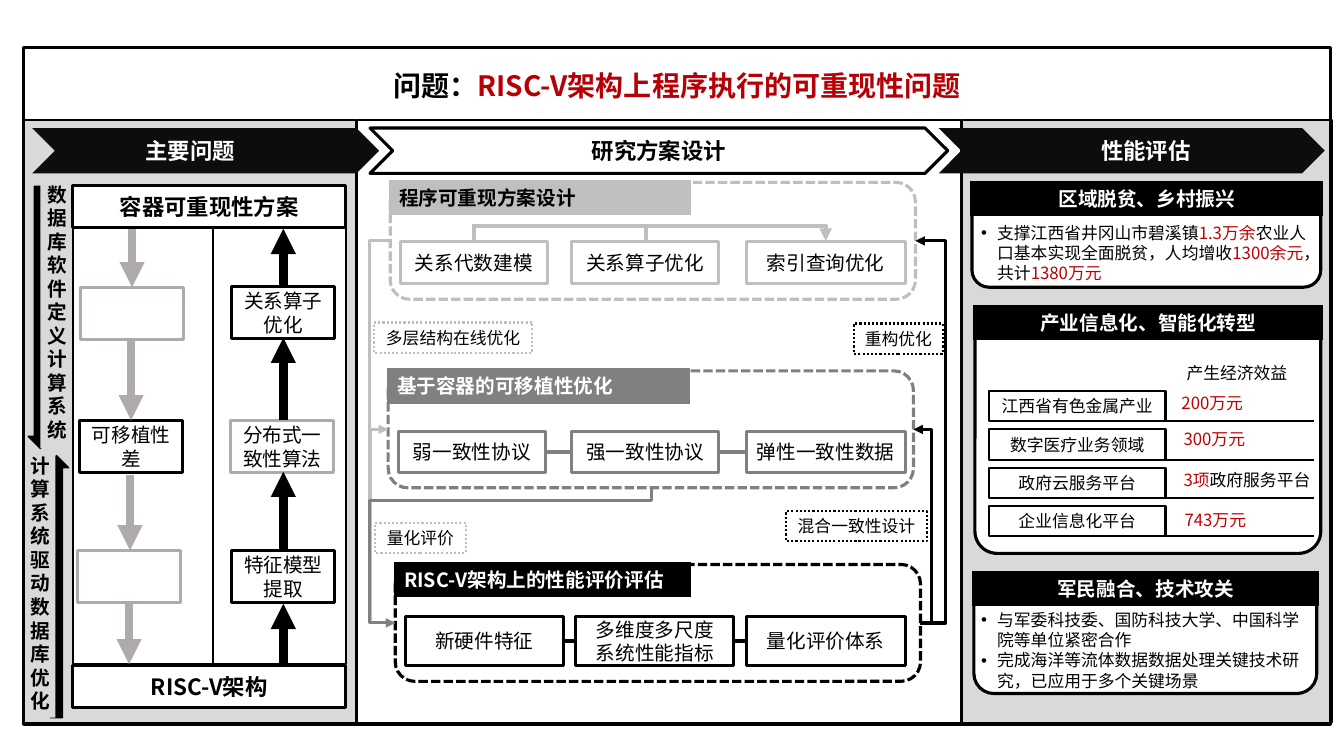
from lxml import etree
from pptx import Presentation
from pptx.dml.color import RGBColor
from pptx.enum.dml import MSO_LINE as DASH
from pptx.enum.shapes import MSO_CONNECTOR as LINK, MSO_SHAPE as SHAPE
from pptx.enum.text import MSO_ANCHOR as ANCHOR, MSO_AUTO_SIZE as FIT, PP_ALIGN as ALIGN
from pptx.oxml.ns import qn
from pptx.util import Inches, Pt

FONT = "Noto Sans CJK SC"
BLACK = RGBColor(0x00, 0x00, 0x00)
WHITE = RGBColor(0xFF, 0xFF, 0xFF)
INK = RGBColor(0x0D, 0x0D, 0x0D)
PANEL = RGBColor(0xD9, 0xD9, 0xD9)
LIGHT = RGBColor(0xBF, 0xBF, 0xBF)
MUTED = RGBColor(0xAF, 0xAB, 0xAB)
GRAY = RGBColor(0x80, 0x80, 0x80)
TITLE_RED = RGBColor(0xB6, 0x00, 0x05)
RED = RGBColor(0xC0, 0x00, 0x00)


def write(box, paragraphs, size=14, bold=False, align=ALIGN.CENTER, anchor=ANCHOR.MIDDLE):
    """Fill a box with paragraphs, each a list of (words, colour) spans."""
    frame = box.text_frame
    frame.word_wrap = True
    frame.auto_size = FIT.NONE
    frame.vertical_anchor = anchor
    frame.margin_left = frame.margin_right = Inches(0.1)
    frame.margin_top = frame.margin_bottom = Inches(0.05)
    for number, spans in enumerate(paragraphs):
        para = frame.add_paragraph() if number else frame.paragraphs[0]
        para.alignment = align
        para.space_before = Pt(0)
        for words, colour in spans:
            span = para.add_run()
            span.text = words
            span.font.size, span.font.bold, span.font.name = Pt(size), bold, FONT
            span.font.color.rgb = colour
            etree.SubElement(span.font._element, qn("a:ea"), typeface=FONT)


def add_block(page, place, words="", fill=None, edge=None, weight=2.25, dash=None,
              preset=SHAPE.RECTANGLE, colour=BLACK, **style):
    box = page.shapes.add_shape(preset, *map(Inches, place))
    box.shadow.inherit = False
    if fill is None:
        box.fill.background()
    else:
        box.fill.solid()
        box.fill.fore_color.rgb = fill
    if edge is None:
        box.line.fill.background()
    else:
        box.line.color.rgb = edge
        box.line.width = Pt(weight)
        box.line.dash_style = dash
    if words:
        write(box, [[(line, colour)] for line in words.split("\n")], **style)
    return box


def add_label(page, place, spans, **style):
    box = page.shapes.add_textbox(*map(Inches, place))
    write(box, [spans], **style)
    return box


def add_link(page, start, end, colour=BLACK, weight=2.25, arrow=None, elbow=None, bends=()):
    """Draw a line; arrow is "headEnd" (at start) or "tailEnd" (at end)."""
    kind = LINK.ELBOW if elbow else LINK.STRAIGHT
    link = page.shapes.add_connector(kind, *map(Inches, (*start, *end)))
    link.line.color.rgb = colour
    link.line.width = Pt(weight)
    properties = link._element.spPr
    if arrow:
        etree.SubElement(properties.find(qn("a:ln")), qn(f"a:{arrow}"), type="triangle")
    etree.SubElement(properties, qn("a:effectLst"))
    if elbow:
        geometry = properties.find(qn("a:prstGeom"))
        geometry.set("prst", elbow)
        values = geometry.find(qn("a:avLst"))
        for number, share in enumerate(bends, 1):
            name = "adj" if len(bends) == 1 and elbow == "bentConnector2" else f"adj{number}"
            etree.SubElement(values, qn("a:gd"), name=name, fmla=f"val {round(share * 100000)}")


def fill_list(box, place, paragraphs):
    """Turn a body placeholder into a bulleted list on top of its card."""
    box.left, box.top, box.width, box.height = map(Inches, place)
    write(box, paragraphs, size=12, align=ALIGN.LEFT, anchor=ANCHOR.TOP)
    for para in box.text_frame.paragraphs:
        settings = para._p.get_or_add_pPr()
        settings.set("marL", str(Inches(0.31)))
        settings.set("indent", str(Inches(-0.16)))
        etree.SubElement(settings, qn("a:buChar"), char="•")
    box._element.getparent().append(box._element)


def add_card(page, left, top, width, height, heading):
    card = add_block(page, (left, top, width, height), fill=WHITE, edge=BLACK,
                     preset=SHAPE.ROUNDED_RECTANGLE)
    add_block(page, (left - 0.01, top - 0.02, width + 0.03, 0.34), heading, fill=BLACK,
              edge=BLACK, weight=0.75, colour=WHITE, bold=True)
    return card


def add_stage(page, left, top, heading, heading_width, tone, heading_colour):
    add_block(page, (left, top, 5.21, 1.16), fill=WHITE, edge=tone, dash=DASH.SQUARE_DOT,
              preset=SHAPE.ROUNDED_RECTANGLE).line._ln.find(qn("a:prstDash")).set("val", "sysDash")
    add_block(page, (left - 0.01, top - 0.02, heading_width, 0.34), heading, fill=tone, edge=tone,
              weight=0.75, colour=heading_colour, bold=True, align=ALIGN.LEFT)


def build_problems(page):
    add_block(page, (0.24, 1.19, 3.29, 5.98), fill=PANEL, edge=BLACK, weight=1)
    add_block(page, (0.72, 2.25, 2.71, 4.34), fill=WHITE, edge=BLACK, weight=1.5)
    add_link(page, (2.11, 2.23), (2.11, 6.6), weight=1.5)
    for left, top, words, tone in ((0.8, 2.85, "", MUTED), (0.79, 4.17, "可移植性差", BLACK),
                                   (0.77, 5.46, "", MUTED), (2.3, 2.84, "关系算子\n优化", BLACK),
                                   (2.29, 4.17, "分布式一致性算法", MUTED),
                                   (2.3, 5.46, "特征模型提取", BLACK)):
        add_block(page, (left, top, 1.02, 0.52), words, edge=tone)
    # Gray flow down, black flow up
    for x, top, bottom in ((1.31, 2.27, 2.85), (1.3, 3.36, 4.17), (1.29, 4.71, 5.46), (1.28, 5.99, 6.59)):
        add_link(page, (x, top), (x, bottom), MUTED, 6, "tailEnd")
    for bottom, top in ((2.84, 2.27), (4.17, 3.35), (5.46, 4.68), (6.6, 5.99)):
        add_link(page, (2.81, bottom), (2.81, top), BLACK, 6, "tailEnd")
    for top, words in ((1.84, "容器可重现性方案"), (6.6, "RISC-V架构")):
        add_block(page, (0.72, top, 2.71, 0.42), words, fill=WHITE, edge=BLACK, size=16, bold=True)
    # Side captions with half arrows
    for arrow, left, top, cover, words, place in (
            (SHAPE.DOWN_ARROW, 0.28, 1.85, 0.4, "数据库软件定义计算系统", (0.37, 1.75, 0.4, 2.69)),
            (SHAPE.UP_ARROW, 0.44, 4.52, 0.38, "计算系统驱动数据库优化", (0.2, 4.44, 0.4, 2.69))):
        add_block(page, (left, top, 0.24, 2.6), fill=BLACK, edge=BLACK, weight=1, preset=arrow)
        add_block(page, (cover, top - 0.03, 0.17, 2.63), fill=PANEL)
        add_label(page, place, [(words, BLACK)], bold=True)


def build_design(page):
    add_block(page, (3.54, 1.19, 5.99, 5.98), fill=WHITE, edge=BLACK, weight=1)
    add_stage(page, 3.87, 1.81, "程序可重现方案设计", 2.99, LIGHT, BLACK)
    add_stage(page, 3.85, 3.68, "基于容器的可移植性优化", 3, GRAY, WHITE)
    add_stage(page, 3.92, 5.6, "RISC-V架构上的性能评价评估", 2.94, BLACK, WHITE)
    # Steps of each stage
    for top, height, tone, lefts, width, steps in (
            (2.4, 0.41, LIGHT, (3.97, 5.67), 1.46, ("关系代数建模", "关系算子优化", "索引查询优化")),
            (4.28, 0.41, GRAY, (3.95, 5.67), 1.46, ("弱一致性协议", "强一致性协议", "弹性一致性数据")),
            (6.12, 0.48, BLACK, (4.02, 5.71), 1.57, ("新硬件特征", "多维度多尺度\n系统性能指标", "量化评价体系"))):
        for left, step_width, words in zip((*lefts, 7.4), (width, width, 1.58), steps):
            add_block(page, (left, top, step_width, height), words, fill=WHITE, edge=tone)
        if tone != LIGHT:
            middle = top + height / 2
            for left, right in zip(lefts, (lefts[1], 7.4)):
                add_link(page, (left + width, middle), (right, middle), tone, 3)
    # Branches above the first stage's steps
    add_link(page, (4.68, 2.24), (6.43, 2.24), LIGHT, 3)
    for x in (4.7, 6.41):
        add_link(page, (x, 2.23), (x, 2.4), LIGHT, 3)
    add_link(page, (6.43, 2.24), (8.19, 2.39), LIGHT, 3, "tailEnd", "bentConnector2")
    # Links between stages
    add_link(page, (3.87, 2.39), (3.85, 4.26), LIGHT, 2.25, "tailEnd", "bentConnector3", (10,))
    add_link(page, (3.92, 6.18), (3.67, 4.26), LIGHT, 2.25, "headEnd", "bentConnector2")
    add_link(page, (3.92, 6.18), (6.46, 4.85), GRAY, 2.25, "headEnd", "bentConnector4", (-0.1, 0.91))
    add_link(page, (9.13, 6.18), (9.08, 2.39), BLACK, 2.25, "tailEnd", "bentConnector3", (-5,))
    add_link(page, (9.06, 4.26), (9.24, 6.18), BLACK, 2.25, "headEnd", "bentConnector2")
    for left, top, width, words, tone in ((3.71, 3.2, 1.57, "多层结构在线优化", LIGHT),
                                          (8.47, 3.21, 0.88, "重构优化", BLACK),
                                          (7.8, 5.07, 1.39, "混合一致性设计", BLACK),
                                          (3.72, 5.19, 0.9, "量化评价", LIGHT)):
        add_block(page, (left, top, width, 0.3), words, edge=tone, weight=1.5,
                  dash=DASH.ROUND_DOT, size=12)


def build_results(page, poverty_list, military_list):
    add_block(page, (9.54, 1.19, 3.67, 5.98), fill=PANEL, edge=BLACK, weight=1)
    add_card(page, 9.64, 1.82, 3.46, 1.03, "区域脱贫、乡村振兴")
    fill_list(poverty_list, (9.48, 2.16, 3.66, 0.71), [[
        ("支撑江西省井冈山市碧溪镇", BLACK), ("1.3万余", RED),
        ("农业人口基本实现全面脱贫，人均增收", BLACK), ("1300余元", RED),
        ("，共计", BLACK), ("1380万元", RED)]])
    add_card(page, 9.67, 3.05, 3.43, 2.44, "产业信息化、智能化转型").adjustments[0] = 0.09
    add_label(page, (11.67, 3.55, 1.45, 0.3), [("产生经济效益", BLACK)], size=12, align=ALIGN.LEFT)
    rows = (("江西省有色金属产业", 11.62, 3.85, [("200万元", RED)]),
            ("数字医疗业务领域", 11.64, 4.2, [("300万元", RED)]),
            ("政府云服务平台", 11.64, 4.61, [("3项", RED), ("政府服务平台", BLACK)]),
            ("企业信息化平台", 11.65, 5.01, [("743万元", RED)]))
    for number, (field, left, top, benefit) in enumerate(rows):
        row_top = 3.88 + 0.38 * number
        add_link(page, (11.56, row_top + 0.3), (13.03, row_top + 0.3), weight=1.5)
        add_block(page, (9.81, row_top, 1.75, 0.3), field, edge=BLACK, weight=1.5, size=12)
        add_label(page, (left, top, 1.54, 0.3), benefit, size=12, align=ALIGN.LEFT)
    add_card(page, 9.66, 5.69, 3.4, 1.19, "军民融合、技术攻关")
    fill_list(military_list, (9.48, 6, 3.55, 0.91), [
        [("与军委科技委、国防科技大学、中国科学院等单位紧密合作", BLACK)],
        [("完成海洋等流体数据数据处理关键技术研究，已应用于多个关键场景", BLACK)]])


def build_headers(page):
    for left, width, fill, edge, words, text_left, text_width, colour in (
            (0.32, 3.44, INK, None, "主要问题", 0.24, 3.29, WHITE),
            (3.67, 5.73, None, BLACK, "研究方案设计", 3.53, 6.01, BLACK),
            (9.31, 3.83, INK, None, "性能评估", 9.72, 3.29, WHITE)):
        add_block(page, (left, 1.27, width, 0.45), fill=fill, edge=edge, preset=SHAPE.CHEVRON)
        add_label(page, (text_left, 1.31, text_width, 0.37), [(words, colour)], size=16, bold=True)


def main():
    deck = Presentation()
    deck.slide_width, deck.slide_height = Inches(13.33), Inches(7.5)
    page = deck.slides.add_slide(deck.slide_layouts[3])
    title, poverty_list, military_list = page.placeholders
    title.left, title.top, title.width, title.height = map(Inches, (0.23, 0.63, 12.97, 0.44))
    write(title, [[("问题：", BLACK), ("RISC-V架构上程序执行的可重现性问题", TITLE_RED)]], size=20, bold=True)
    build_problems(page)
    build_design(page)
    build_results(page, poverty_list, military_list)
    add_block(page, (0.23, 0.47, 12.97, 6.72), edge=BLACK)
    build_headers(page)
    deck.save("out.pptx")


main()
